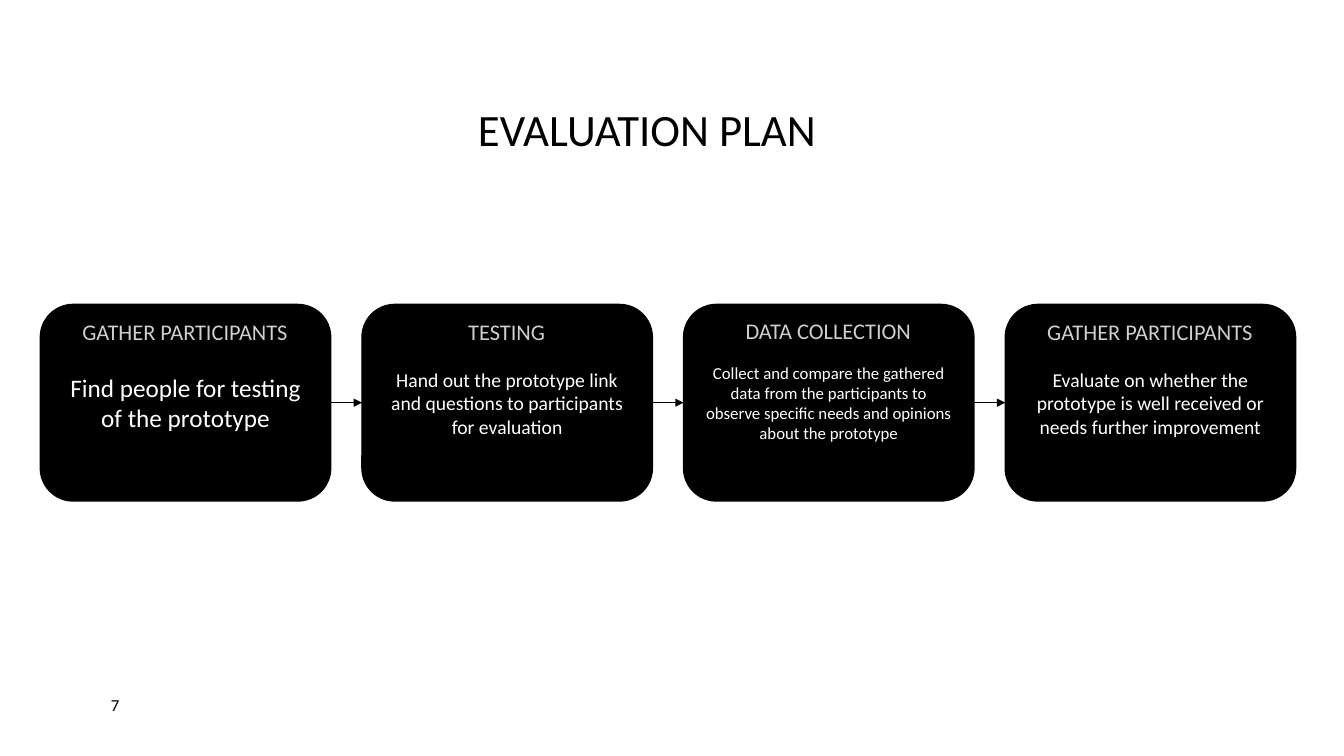
from dataclasses import dataclass

from lxml import etree
from pptx import Presentation
from pptx import util as u
from pptx.dml.color import RGBColor
from pptx.enum import shapes, text
from pptx.oxml import ns


@dataclass(frozen=True)
class Theme:
    font: str = "Calibri"
    black: RGBColor = RGBColor(0, 0, 0)
    white: RGBColor = RGBColor(255, 255, 255)
    gray: RGBColor = RGBColor(0xD0, 0xCE, 0xCE)
    title_size: int = 32
    heading_size: int = 16
    number_size: int = 12


theme = Theme()


def write(shape, words, size, color, alignment, line_spacing=1.0):
    frame = shape.text_frame
    frame.word_wrap = True
    frame.auto_size = text.MSO_AUTO_SIZE.NONE
    frame.vertical_anchor = text.MSO_ANCHOR.MIDDLE
    paragraph = frame.paragraphs[0]
    paragraph.text = words
    paragraph.alignment = alignment
    paragraph.line_spacing = line_spacing
    paragraph.font.name = theme.font
    paragraph.font.size = u.Pt(size)
    paragraph.font.color.rgb = color


presentation = Presentation()
presentation.slide_width = u.Inches(13.33)
presentation.slide_height = u.Inches(7.5)
slide = presentation.slides.add_slide(presentation.slide_layouts[5])

title = slide.shapes.title
title.left, title.top = u.Inches(4.64), u.Inches(0.43)
title.width, title.height = u.Inches(3.96), u.Inches(1.75)
write(title, "EVALUATION PLAN", theme.title_size, theme.black, text.PP_ALIGN.LEFT, 0.9)

page_number = slide.shapes.add_textbox(
    u.Inches(1), u.Inches(6.83), u.Inches(0.69), u.Inches(0.32))
write(page_number, "7", theme.number_size, theme.black, text.PP_ALIGN.LEFT)

steps = [
    ("GATHER PARTICIPANTS", "Find people for testing of the prototype", 18, 2.76),
    ("TESTING",
     "Hand out the prototype link and questions to participants for evaluation", 14, 2.76),
    ("DATA COLLECTION",
     "Collect and compare the gathered data from the participants to observe "
     "specific needs and opinions about the prototype", 12, 2.75),
    ("GATHER PARTICIPANTS",
     "Evaluate on whether the prototype is well received or needs further improvement",
     14, 2.76),
]
card_left, card_pitch = 0.4, 3.19
heading_offset = -0.15

cards = []
for index, (heading, description, size, heading_top) in enumerate(steps):
    left = card_left + index * card_pitch
    card = slide.shapes.add_shape(
        shapes.MSO_SHAPE.ROUNDED_RECTANGLE,
        u.Inches(left), u.Inches(3.02), u.Inches(2.88), u.Inches(1.95))
    card.shadow.inherit = False
    card.fill.solid()
    card.fill.fore_color.rgb = theme.black
    card.line.color.rgb = theme.black
    card.line.width = u.Pt(1)
    write(card, description, size, theme.white, text.PP_ALIGN.CENTER)
    cards.append(card)

    label = slide.shapes.add_textbox(
        u.Inches(left + heading_offset), u.Inches(heading_top),
        u.Inches(3.17), u.Inches(1.09))
    write(label, heading, theme.heading_size, theme.gray, text.PP_ALIGN.CENTER, 0.9)

right_site, left_site = 3, 1
for source, target in zip(cards, cards[1:]):
    arrow = slide.shapes.add_connector(shapes.MSO_CONNECTOR.STRAIGHT, 0, 0, 0, 0)
    arrow.begin_connect(source, right_site)
    arrow.end_connect(target, left_site)
    arrow.line.color.rgb = theme.black
    arrow.line.width = u.Pt(0.5)
    properties = arrow.line._get_or_add_ln()
    etree.SubElement(properties, ns.qn("a:tailEnd"), type="triangle")
    etree.SubElement(properties.getparent(), ns.qn("a:effectLst"))

presentation.save("out.pptx")
